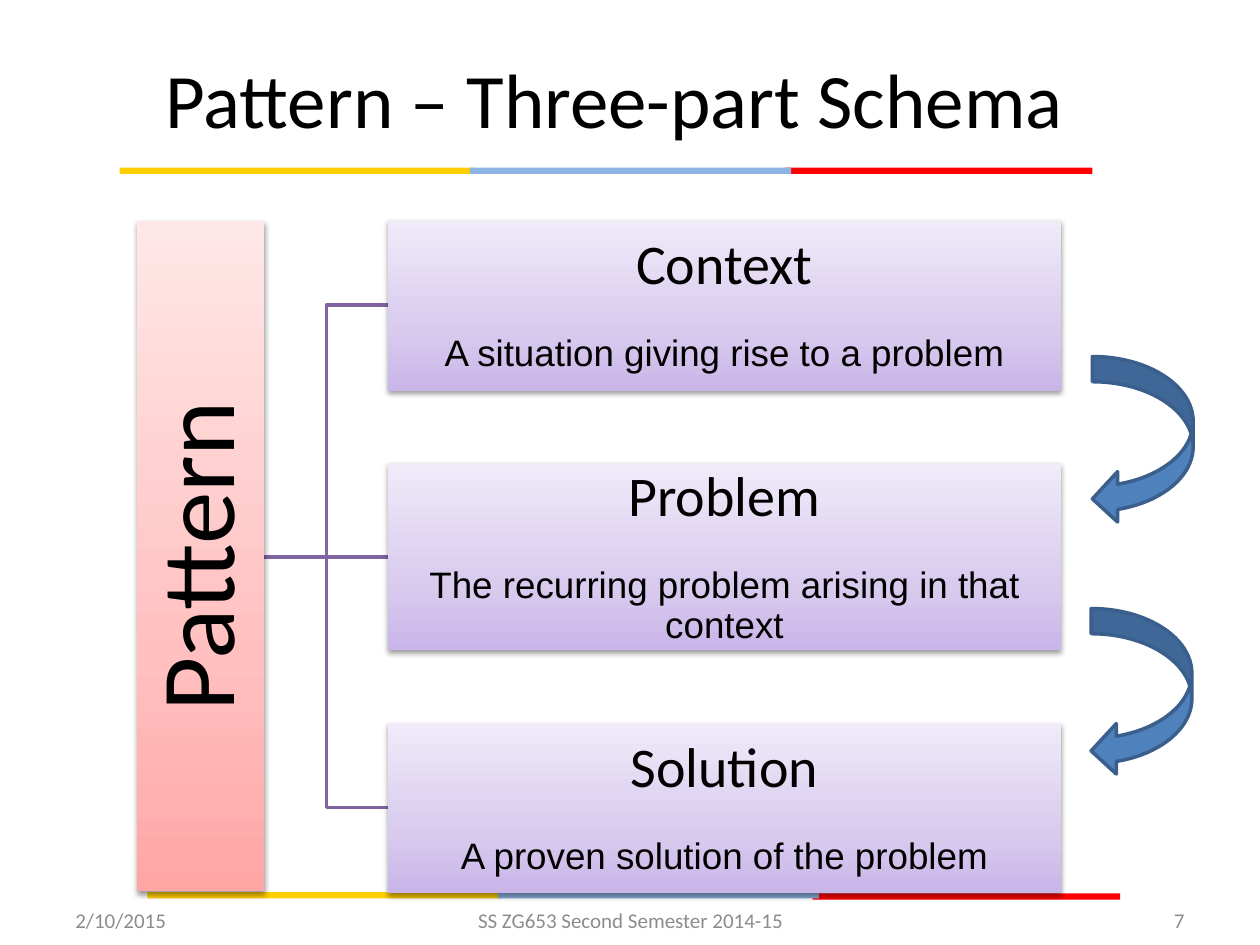
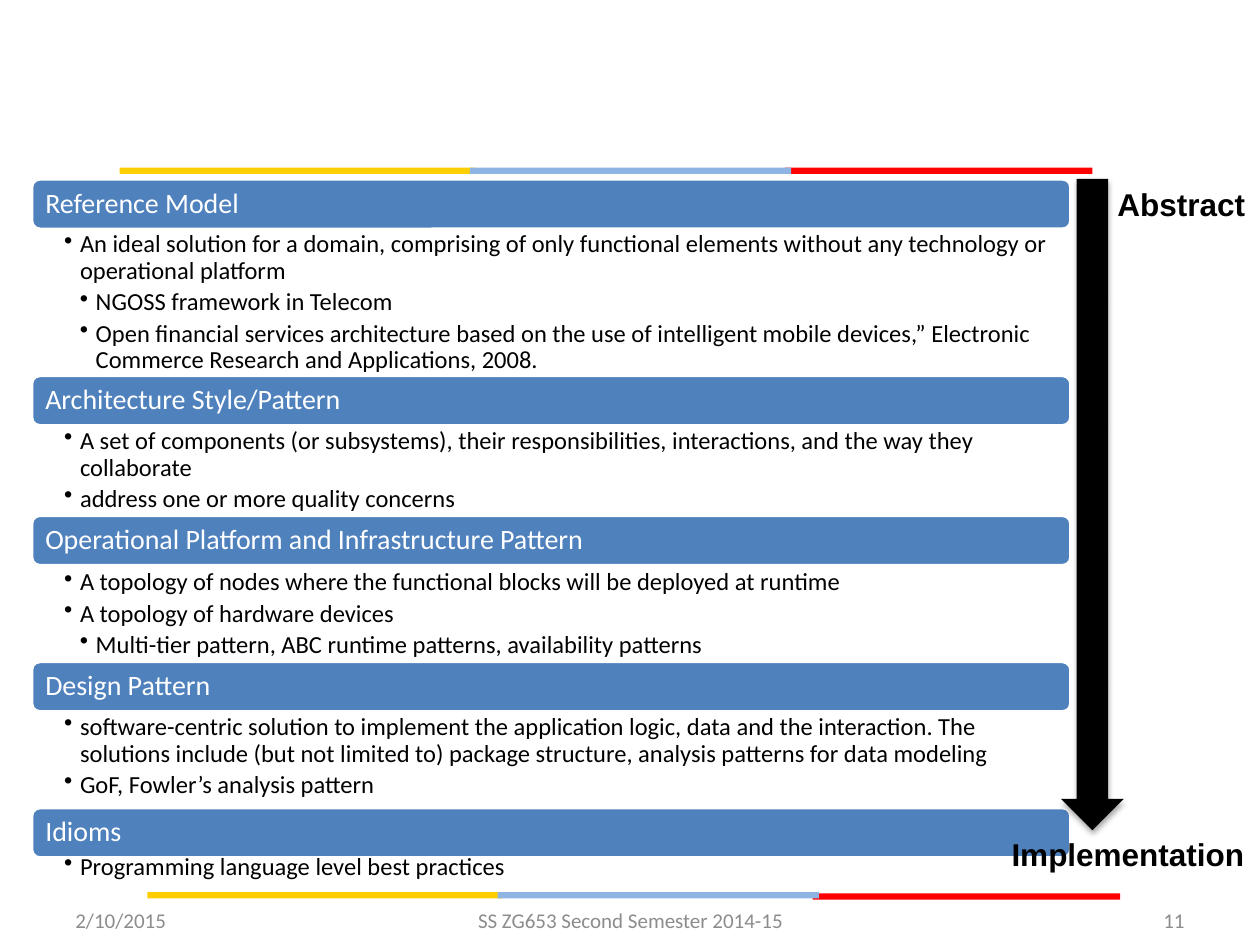
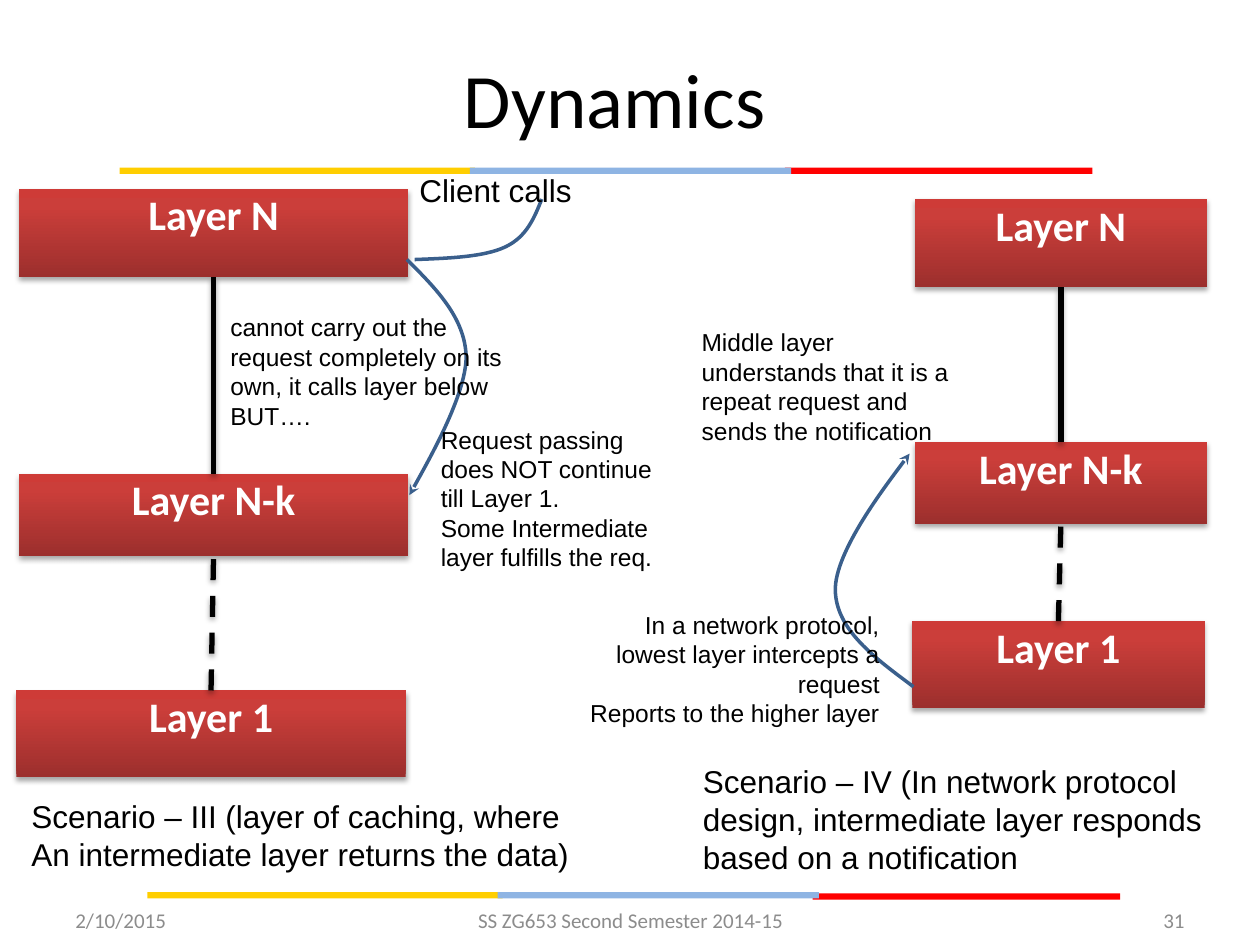
from dataclasses import dataclass

from lxml import etree
from pptx import Presentation
from pptx.dml.color import RGBColor
from pptx.enum.dml import MSO_LINE
from pptx.enum.shapes import MSO_CONNECTOR, MSO_SHAPE
from pptx.enum.text import MSO_ANCHOR, PP_ALIGN
from pptx.oxml.ns import qn
from pptx.util import Inches, Pt

RECTANGLE = MSO_SHAPE.RECTANGLE
ROUNDED = MSO_SHAPE.ROUNDED_RECTANGLE
CURVED_ARROW = MSO_SHAPE.CURVED_LEFT_ARROW
DOWN_ARROW = MSO_SHAPE.DOWN_ARROW
STRAIGHT = MSO_CONNECTOR.STRAIGHT
DASH = MSO_LINE.DASH
TOP, MIDDLE = MSO_ANCHOR.TOP, MSO_ANCHOR.MIDDLE
LEFT, CENTER, RIGHT = PP_ALIGN.LEFT, PP_ALIGN.CENTER, PP_ALIGN.RIGHT
SITE_TOP, SITE_LEFT, SITE_BOTTOM = 0, 1, 2


@dataclass(frozen=True)
class Theme:
    heading_font: str = "Calibri"
    body_font: str = "Arial"
    black: str = "000000"
    white: str = "FFFFFF"
    grey: str = "8C8C8C"
    yellow: str = "FFCE00"
    sky: str = "8EB4E3"
    red: str = "FF0000"
    blue: str = "4F81BD"
    dark_blue: str = "3A5F8C"
    purple: str = "8064A2"
    pink_gradient: tuple = ((0, "FFA6A5"), (35, "FFC0BF"), (100, "FFE7E7"))
    lilac_gradient: tuple = ((0, "C9B5E8"), (35, "D8CBEE"), (100, "F0EAF9"))
    red_gradient: tuple = ((0, "9C2F2D"), (80, "CB3E3A"), (100, "CE3B37"))
    title_size: float = 44
    pattern_size: float = 60
    part_size: float = 32
    part_text_size: float = 21
    layer_size: float = 24
    label_size: float = 18
    section_size: float = 16
    note_size: float = 14
    footer_size: float = 12


THEME = Theme()

COURSE = "SS ZG653 Second Semester 2014-15"
DATE = "2/10/2015"

PARTS = [
    (1.75, 1.35, "Context", "A situation giving rise to a problem"),
    (3.68, 1.48, "Problem", "The recurring problem arising in that context"),
    (5.74, 1.35, "Solution", "A proven solution of the problem"),
]

# Heading top, bullets top, heading, (level, bullet text) pairs
SECTIONS = [
    (1.42, 1.82, "Reference Model", [
        (1, "An ideal solution for a domain, comprising of only functional elements "
            "without any technology or operational platform"),
        (2, "NGOSS framework in Telecom"),
        (2, "Open financial services architecture based on the use of intelligent mobile "
            "devices,” Electronic Commerce Research and Applications, 2008."),
    ]),
    (2.98, 3.38, "Architecture Style/Pattern", [
        (1, "A set of components (or subsystems), their responsibilities, interactions, "
            "and the way they collaborate"),
        (1, "address one or more quality concerns"),
    ]),
    (4.09, 4.5, "Operational Platform and Infrastructure Pattern", [
        (1, "A topology of nodes where the functional blocks will be deployed at runtime"),
        (1, "A topology of hardware devices"),
        (2, "Multi-tier pattern, ABC runtime patterns, availability patterns"),
    ]),
    (5.25, 5.65, "Design Pattern", [
        (1, "software-centric solution to implement the application logic, data and the "
            "interaction. The solutions include (but not limited to) package structure, "
            "analysis patterns for data modeling"),
        (1, "GoF, Fowler’s analysis pattern"),
    ]),
    (6.41, 6.76, "Idioms", [(1, "Programming language level best practices")]),
]


def color(value):
    return RGBColor.from_string(value)


def style_paragraph(paragraph, size, font, ink, bold=False, align=LEFT):
    paragraph.alignment = align
    for run in paragraph.runs:
        run.font.size = Pt(size)
        run.font.name = font
        run.font.bold = bold
        run.font.color.rgb = color(ink)


def set_text(shape, lines, size, font=THEME.heading_font, ink=THEME.black, bold=False,
             align=LEFT, anchor=TOP, insets=(0.1, 0.05, 0.1, 0.05), wrap=True):
    frame = shape.text_frame
    frame.text = "\n".join(lines)
    frame.word_wrap = wrap
    frame.vertical_anchor = anchor
    (frame.margin_left, frame.margin_top,
     frame.margin_right, frame.margin_bottom) = map(Inches, insets)
    for paragraph in frame.paragraphs:
        style_paragraph(paragraph, size, font, ink, bold, align)
    return frame.paragraphs


def add_text(slide, box, lines, size, **options):
    shape = slide.shapes.add_textbox(*map(Inches, box))
    return set_text(shape, lines, size, **options)


def add_note(slide, box, lines, size=THEME.note_size, **options):
    add_text(slide, box, lines, size, font=THEME.body_font, **options)


def add_box(slide, kind, box, fill, line=None):
    shape = slide.shapes.add_shape(kind, *map(Inches, box))
    shape.shadow.inherit = False
    if isinstance(fill, str):
        shape.fill.solid()
        shape.fill.fore_color.rgb = color(fill)
    else:
        set_gradient(shape, fill)
    if line:
        shape.line.color.rgb = color(line)
        shape.line.width = Pt(2)
    else:
        shape.line.fill.background()
    return shape


def set_gradient(shape, stops):
    """Fill with stops that run from the bottom up, whatever the shape's rotation."""
    shape.fill.gradient()
    shape.fill.gradient_angle = 90
    gradient = shape._element.spPr.find(qn("a:gradFill"))
    gradient.set("rotWithShape", "0")
    stop_list = gradient.find(qn("a:gsLst"))
    stop_list.clear()
    for position, value in stops:
        stop = etree.SubElement(stop_list, qn("a:gs"), pos=str(position * 1000))
        etree.SubElement(stop, qn("a:srgbClr"), val=value)


def add_shadow(shape, distance=1.8, opacity=35):
    properties = shape._element.spPr
    effects = properties.find(qn("a:effectLst"))
    if effects is None:
        effects = etree.SubElement(properties, qn("a:effectLst"))
    shadow = etree.SubElement(effects, qn("a:outerShdw"), blurRad=str(Pt(3.1)),
                              dist=str(Pt(distance)), dir="5400000", rotWithShape="0")
    shade = etree.SubElement(shadow, qn("a:srgbClr"), val=THEME.black)
    etree.SubElement(shade, qn("a:alpha"), val=str(opacity * 1000))


def add_line(slide, start, end, ink, width):
    line = slide.shapes.add_connector(STRAIGHT, *map(Inches, start + end))
    line.line.color.rgb = color(ink)
    line.line.width = Pt(width)
    etree.SubElement(line._element.spPr, qn("a:effectLst"))
    return line


def add_outline(slide, points, ink):
    (start_x, start_y), *rest = [tuple(map(Inches, point)) for point in points]
    builder = slide.shapes.build_freeform(start_x, start_y)
    builder.add_line_segments(rest, close=False)
    shape = builder.convert_to_shape()
    shape.shadow.inherit = False
    shape.fill.background()
    shape.line.color.rgb = color(ink)
    shape.line.width = Pt(2)
    return shape


def add_curve(slide, points, arrow=False):
    """Draw cubic curves: a start point, then two controls and an end per curve."""
    shape = add_outline(slide, points, THEME.dark_blue)
    segments = list(shape._element.iter(qn("a:lnTo")))
    for first in range(0, len(segments), 3):
        curve = etree.Element(qn("a:cubicBezTo"))
        segments[first].addprevious(curve)
        for segment in segments[first:first + 3]:
            curve.append(segment[0])
            segment.getparent().remove(segment)
    if arrow:
        outline = shape._element.spPr.find(qn("a:ln"))
        etree.SubElement(outline, qn("a:tailEnd"), type="stealth")


def add_band(slide, left, top, red_drop=0):
    for offset, drop, width, fill in ((5.28, red_drop, 2.44, THEME.red),
                                      (0, 0, 2.82, THEME.yellow),
                                      (2.78, 0, 2.55, THEME.sky)):
        add_box(slide, RECTANGLE, (left + offset, top + drop, width, 0.05), fill)


def add_slide(presentation, number, title=None):
    slide = presentation.slides.add_slide(presentation.slide_layouts[6])
    add_band(slide, 0.95, 1.33)
    add_band(slide, 1.17, 7.08, red_drop=0.01)
    for left, width, text, align in ((0.5, 2.33, DATE, LEFT),
                                     (3.42, 3.17, COURSE, CENTER),
                                     (7.17, 2.33, str(number), RIGHT)):
        add_text(slide, (left, 7.1, width, 0.4), [text], THEME.footer_size,
                 ink=THEME.grey, align=align, anchor=MIDDLE)
    if title:
        add_text(slide, (0.38, 0.22, 9, 1.11), [title], THEME.title_size,
                 align=CENTER, anchor=MIDDLE)
    return slide


def add_part(slide, top, height, heading, description):
    box = add_box(slide, RECTANGLE, (3.08, top, 5.34, height), THEME.lilac_gradient)
    add_shadow(box, 1.6, 38)
    paragraphs = set_text(box, [heading, description], THEME.part_size,
                          align=CENTER, anchor=MIDDLE, insets=(0.02,) * 4)
    for paragraph in paragraphs:
        paragraph.line_spacing = 0.9
    paragraphs[0].space_after = Pt(22)
    style_paragraph(paragraphs[1], THEME.part_text_size, THEME.body_font,
                    THEME.black, align=CENTER)
    return box


def add_section(slide, top, bullets_top, heading, bullets):
    bar = add_box(slide, ROUNDED, (0.25, top, 8.25, 0.4), THEME.blue, THEME.white)
    paragraphs = set_text(bar, [heading], THEME.section_size, ink=THEME.white,
                          anchor=MIDDLE, insets=(0.09,) * 4)
    paragraphs[0].line_spacing = 0.9
    paragraphs = add_text(slide, (0.25, bullets_top, 8.25, 0.4),
                          [text for _, text in bullets], THEME.note_size,
                          insets=(0.26, 0.02, 0.11, 0.02))
    for paragraph, (level, _) in zip(paragraphs, bullets):
        paragraph.level = level
        paragraph.line_spacing = 0.9
        paragraph.space_after = Pt(2.8)
        properties = paragraph._p.get_or_add_pPr()
        properties.set("marL", str(Inches(0.125 * level)))
        properties.set("indent", str(Inches(-0.125)))
        etree.SubElement(properties, qn("a:buChar"), char="•")


def add_layer(slide, box, name):
    layer = add_box(slide, RECTANGLE, box, THEME.red_gradient)
    add_shadow(layer)
    set_text(layer, [name], THEME.layer_size, ink=THEME.white, bold=True,
             align=CENTER, insets=(0.1, 0, 0.1, 0))
    return layer


def add_layer_stack(slide, left, width, tops):
    """Place three layers, with a solid line and then a dashed line between them."""
    layers = [add_layer(slide, (left - shift, top, width, height), name)
              for top, height, shift, name in zip(tops, (0.7, 0.65, 0.69), (0, 0, 0.02),
                                                  ("Layer N", "Layer N-k", "Layer 1"))]
    for upper, lower, dash in zip(layers, layers[1:], (None, DASH)):
        line = add_line(slide, (0, 0), (1, 1), THEME.black, 3)
        line.begin_connect(lower, SITE_TOP)
        line.end_connect(upper, SITE_BOTTOM)
        line.line.dash_style = dash
        add_shadow(line)


def build_schema_slide(presentation):
    slide = add_slide(presentation, 7, "Pattern – Three-part Schema")
    trunk, middle, branch, part_left = 2.09, 4.42, 2.59, 3.08
    for end in (6.41, 2.42):
        add_outline(slide, [(trunk, middle), (branch, middle), (branch, end),
                            (part_left, end)], THEME.purple)
    stem = add_line(slide, (trunk, middle), (part_left, middle), THEME.purple, 2)

    pattern = add_box(slide, RECTANGLE, (-1.07, 3.91, 5.32, 1.01), THEME.pink_gradient)
    pattern.rotation = 270
    add_shadow(pattern, 1.6, 38)
    paragraphs = set_text(pattern, ["Pattern"], THEME.pattern_size, align=CENTER,
                          anchor=MIDDLE, insets=(0.04,) * 4)
    paragraphs[0].line_spacing = 0.9

    parts = [add_part(slide, *part) for part in PARTS]
    stem.end_connect(parts[1], SITE_LEFT)
    for left, top in ((8.67, 2.83), (8.66, 4.83)):
        add_box(slide, CURVED_ARROW, (left, top, 0.8, 1.33), THEME.blue, THEME.dark_blue)


def build_levels_slide(presentation):
    slide = add_slide(presentation, 11)
    for section in SECTIONS:
        add_section(slide, *section)
    add_shadow(add_box(slide, DOWN_ARROW, (8.42, 1.42, 0.5, 5.17), THEME.black))
    for left, top, width, label in ((8.77, 1.42, 1.23, "Abstract"),
                                    (7.93, 6.58, 2.07, "Implementation")):
        add_note(slide, (left, top, width, 0.4), [label], THEME.label_size,
                 bold=True, wrap=False)


def build_dynamics_slide(presentation):
    slide = add_slide(presentation, 31, "Dynamics")
    add_layer_stack(slide, 0.15, 3.09, (1.5, 3.76, 5.48))
    add_curve(slide, [(4.3, 1.58), (4.24, 1.73), (4.18, 1.88), (4.01, 1.96),
                      (3.84, 2.04), (3.56, 2.05), (3.29, 2.06)])
    add_note(slide, (3.23, 1.31, 1.42, 0.4), ["Client calls"], THEME.label_size, wrap=False)
    add_curve(slide, [(3.23, 2.06), (3.46, 2.29), (3.69, 2.52), (3.7, 2.83),
                      (3.7, 3.14), (3.25, 3.93), (3.25, 3.93)], arrow=True)
    add_note(slide, (1.73, 2.43, 2.56, 1.04),
             ["cannot carry out the request completely on its own, "
              "it calls layer below BUT…."])
    add_note(slide, (3.4, 3.32, 1.94, 1.28),
             ["Request passing does NOT continue till Layer 1.",
              "Some Intermediate layer fulfills the req."])

    add_layer_stack(slide, 7.26, 2.32, (1.58, 3.51, 4.93))
    add_note(slide, (5.47, 2.55, 2.33, 1.04),
             ["Middle layer understands that it is a repeat request and "
              "sends the notification"])
    add_curve(slide, [(7.25, 5.45), (6.94, 5.22), (6.64, 5), (6.63, 4.69),
                      (6.62, 4.38), (7.22, 3.6), (7.22, 3.6)], arrow=True)
    add_note(slide, (4.5, 4.79, 2.58, 1.04),
             ["In a network protocol, lowest layer intercepts a request",
              "Reports to the higher layer"], align=RIGHT)
    add_note(slide, (0.15, 6.28, 4.51, 0.71),
             ["Scenario – III (layer of caching, where",
              "An intermediate layer returns the data)"], THEME.label_size, wrap=False)
    add_note(slide, (5.48, 6, 4.27, 1.01),
             ["Scenario – IV (In network protocol design, intermediate layer "
              "responds based on a notification"], THEME.label_size)


def main():
    presentation = Presentation()
    presentation.slide_width = Inches(10)
    presentation.slide_height = Inches(7.5)
    build_schema_slide(presentation)
    build_levels_slide(presentation)
    build_dynamics_slide(presentation)
    presentation.save("out.pptx")


if __name__ == "__main__":
    main()
